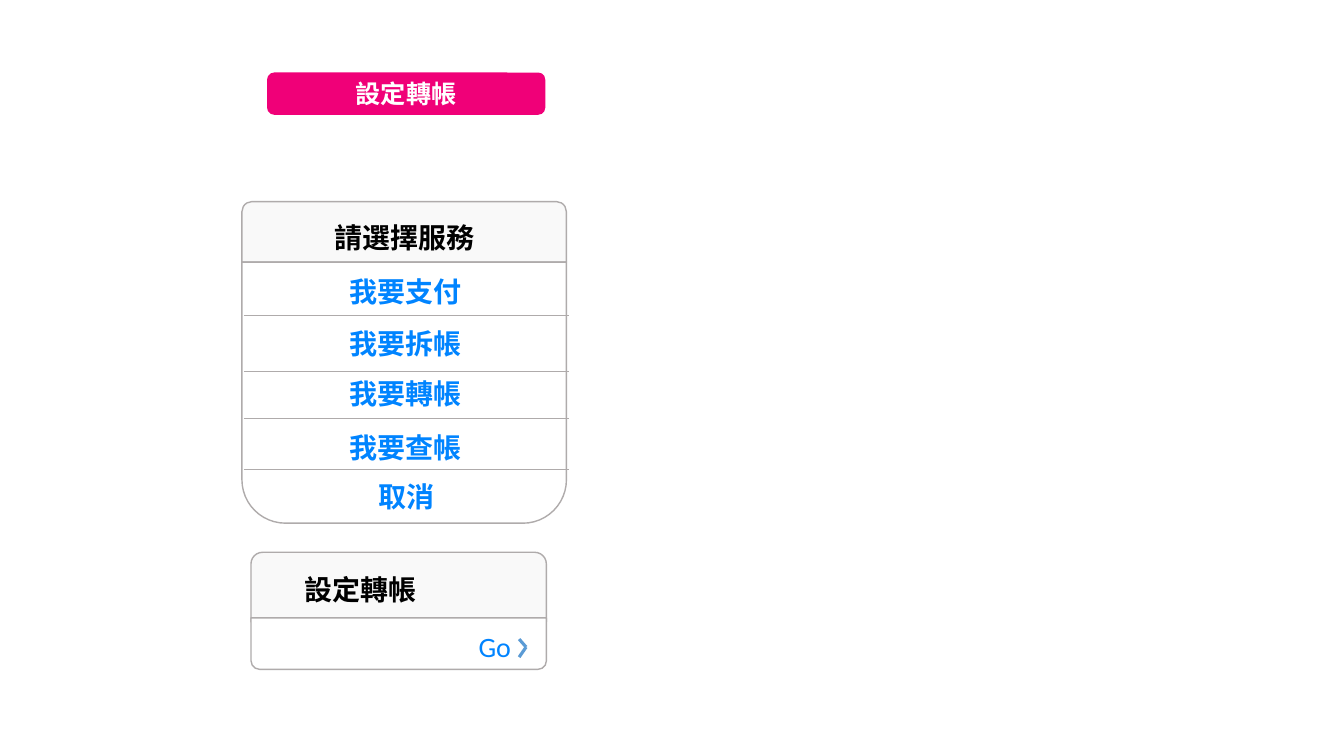
"""Build a slide with a transfer button, a service menu and a transfer card."""
from lxml.etree import SubElement
from pptx import Presentation
from pptx.dml.color import RGBColor
from pptx.enum.shapes import MSO_CONNECTOR as Connector, MSO_SHAPE as Shape
from pptx.enum.text import MSO_ANCHOR as Anchor, PP_ALIGN as Align
from pptx.oxml.ns import qn
from pptx.util import Pt

COLORS = {
    "header": "F9F9F9",
    "white": "FFFFFF",
    "border": "AFABAB",
    "black": "000000",
    "link": "0084FF",
    "arrow": "5B9BD5",
    "button": "F00078",
}
CJK = "Noto Sans CJK SC"

deck = Presentation()
deck.slide_width, deck.slide_height = Pt(960), Pt(540)
page = deck.slides.add_slide(deck.slide_layouts[6])


def write(box, text, size, color, face=CJK, bold=True):
    """Fill a shape with one styled paragraph and return the paragraph."""
    box.text_frame.word_wrap = True
    para = box.text_frame.paragraphs[0]
    para.text = text
    font = para.font
    font.name, font.size, font.bold = face, Pt(size), bold
    font.color.rgb = RGBColor.from_string(COLORS[color])
    SubElement(font._element, qn("a:ea"), typeface=face)
    return para


def draw_line(start, end, color, width):
    """Draw a straight line without a shadow."""
    line = page.shapes.add_connector(
        Connector.STRAIGHT, *(Pt(value) for value in start + end))
    line.line.color.rgb = RGBColor.from_string(COLORS[color])
    line.line.width = Pt(width)
    SubElement(line._element.spPr, qn("a:effectLst"))


panels = [
    (179.3, 394.5, 211, 49.7, "header", 0),
    (179.3, 441.4, 211, 36.7, "white", 180),
    (172.8, 144, 231.8, 43.2, "header", 0),
    (172.8, 187.2, 231.8, 186.5, None, 180),
]
for left, top, width, height, fill, rotation in panels:
    panel = page.shapes.add_shape(
        Shape.ROUND_2_SAME_RECTANGLE, Pt(left), Pt(top), Pt(width), Pt(height))
    panel.rotation = rotation
    panel.shadow.inherit = False
    if fill:
        panel.fill.solid()
        panel.fill.fore_color.rgb = RGBColor.from_string(COLORS[fill])
    else:
        panel.fill.background()
    panel.line.color.rgb = RGBColor.from_string(COLORS["border"])
    panel.line.width = Pt(1)

for separator_top in (225.4, 265, 298.8, 335.5):
    draw_line((174.2, separator_top), (406.1, separator_top), "border", 0.5)

labels = [
    ("請選擇服務", 195.8, 154.1, 174.2, "black", CJK, True),
    ("我要支付", 206.6, 192.2, 148.3, "link", CJK, True),
    ("我要拆帳", 206.6, 229.7, 148.3, "link", CJK, True),
    ("我要轉帳", 206.6, 265.7, 148.3, "link", CJK, True),
    ("我要查帳", 206.6, 303.8, 148.3, "link", CJK, True),
    ("取消", 227.5, 339.1, 148.3, "link", CJK, True),
    ("設定轉帳", 174.2, 405.4, 239.8, "black", CJK, True),
    ("Go", 298.8, 446.4, 105.8, "link", "Calibri", False),
]
for text, left, top, width, color, face, bold in labels:
    label = page.shapes.add_textbox(Pt(left), Pt(top), Pt(width), Pt(31.5))
    write(label, text, 20, color, face, bold).level = 1

chevron_tip = (375.8, 462.2)
for chevron_end in ((370.8, 456.5), (370.8, 469.4)):
    draw_line(chevron_end, chevron_tip, "arrow", 2.25)

button = page.shapes.add_shape(
    Shape.ROUNDED_RECTANGLE, Pt(190.8), Pt(51.8), Pt(198.7), Pt(30.2))
button.shadow.inherit = False
button.fill.solid()
button.fill.fore_color.rgb = RGBColor.from_string(COLORS["button"])
button.line.fill.background()
button.text_frame.vertical_anchor = Anchor.MIDDLE
write(button, "設定轉帳", 18, "white").alignment = Align.CENTER

deck.save("out.pptx")
